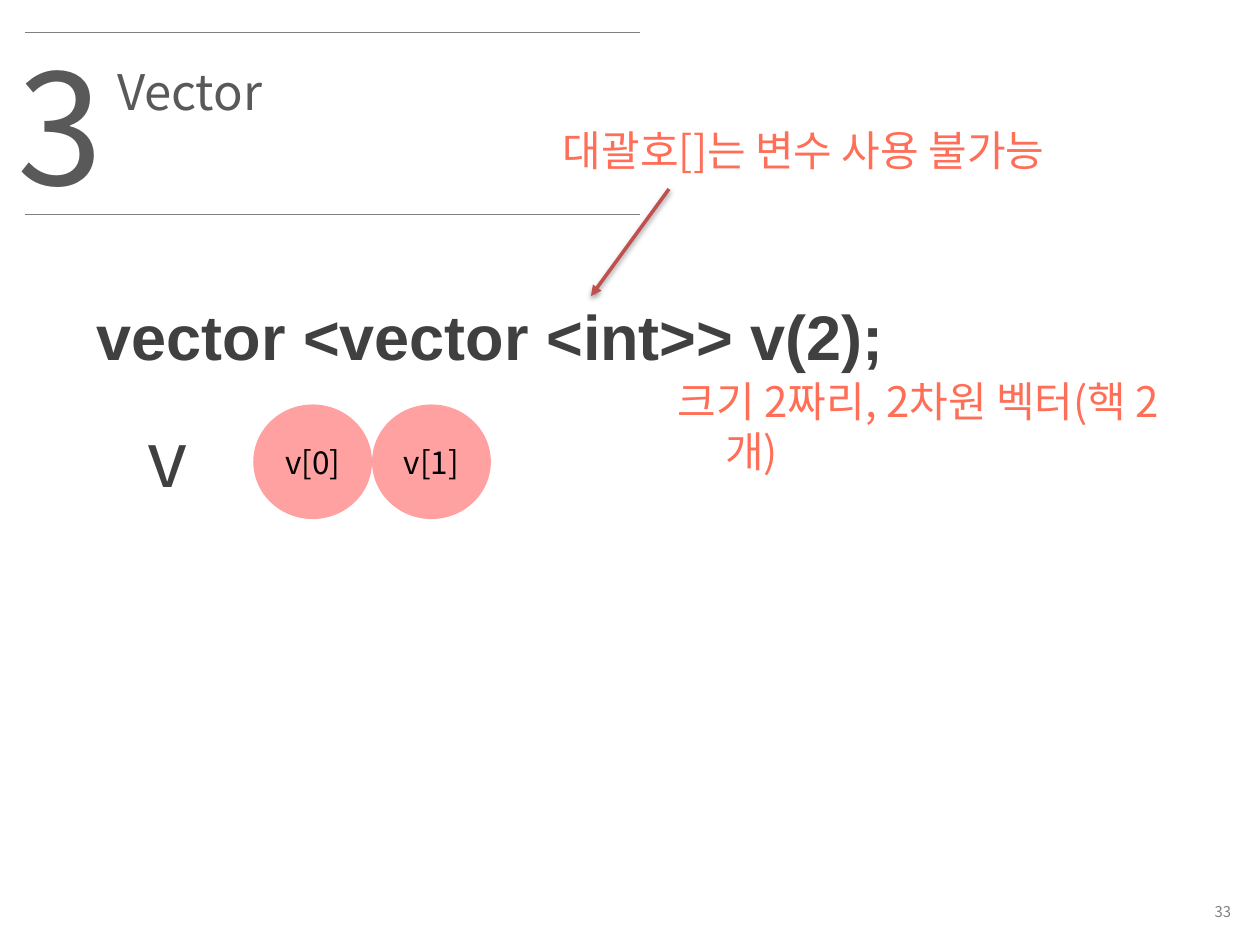
import pptx
import pptx.util
import pptx.dml.color
import pptx.enum.shapes
import pptx.enum.text
import pptx.oxml
import pptx.oxml.ns
from lxml import etree

Pt = pptx.util.Pt
ALIGN = pptx.enum.text.PP_ALIGN
ANCHOR = pptx.enum.text.MSO_ANCHOR
NS = pptx.oxml.ns.nsdecls("a")

THEME = {
    "sans": "Noto Sans CJK KR", "code": "Arial",
    "rule": "808080", "title": "595959", "body": "404040", "note": "FF6E57",
    "arrow": "C0504D", "node": "FF0000", "node_text": "000000",
    "page_size": 8.5, "node_size": 18, "note_size": 24, "title_size": 28,
    "code_size": 36, "name_size": 44, "number_size": 88,
}
HANG = 27

# text, box (left, top, width, height), size, colour, options
TEXTS = [
    ("33", (558.7, 511.2, 151.9, 19.4), "page_size", "rule",
     {"align": ALIGN.RIGHT, "anchor": ANCHOR.MIDDLE}),
    ("3", (2.9, 14.4, 56.9, 113.8), "number_size", "title", {"hang": HANG}),
    ("Vector", (59.8, 31.7, 323.3, 41), "title_size", "title", {"hang": HANG}),
    ("vector <vector <int>> v(2);", (48.2, 166.3, 555.8, 51.1), "code_size", "body",
     {"font": "code", "bold": True}),
    ("v", (77, 231.1, 45.4, 60.5), "name_size", "body", {}),
    ("대괄호[]는 변수 사용 불가능", (314.6, 67.7, 289.4, 36), "note_size", "note",
     {"align": ALIGN.CENTER, "hang": HANG}),
    ("크기 2짜리, 2차원 벡터(핵 2개)", (380.2, 211, 294.5, 36), "note_size", "note",
     {"hang": HANG}),
]
RULE_LEFT, RULE_RIGHT, RULE_TOPS = 14.4, 365.8, (18.7, 122.4)
ARROW = (382.3, 108, 337.7, 169.2)
NODES = ["v[0]", "v[1]"]
NODE_LEFT, NODE_TOP, NODE_W, NODE_H = 144.7, 231.1, 67.9, 65.5


def rgb(key):
    return pptx.dml.color.RGBColor.from_string(THEME[key])


def write(sp, text, size, color, font="sans", bold=False, align=ALIGN.LEFT,
          anchor=ANCHOR.TOP, hang=0):
    tf = sp.text_frame
    tf.word_wrap = True
    tf.vertical_anchor = anchor
    tf.text = text
    p = tf.paragraphs[0]
    p.alignment = align
    if hang:
        pPr = p._p.get_or_add_pPr()
        pPr.set("marL", str(Pt(hang)))
        pPr.set("indent", str(-Pt(hang)))
    r = p.runs[0]
    r.font.name = THEME[font]
    r.font.size = Pt(THEME[size])
    r.font.bold = bold
    r.font.color.rgb = rgb(color)
    ea = etree.SubElement(r._r.get_or_add_rPr(), pptx.oxml.ns.qn("a:ea"))
    ea.set("typeface", THEME[font])
    latin = r._r.rPr.find(pptx.oxml.ns.qn("a:latin"))
    latin.addnext(ea)


def add_line(s, ends, color, width, effects=""):
    line = s.shapes.add_connector(
        pptx.enum.shapes.MSO_CONNECTOR.STRAIGHT, *map(Pt, ends))
    line.line.color.rgb = rgb(color)
    line.line.width = Pt(width)
    line._element.spPr.append(
        pptx.oxml.parse_xml(f"<a:effectLst {NS}>{effects}</a:effectLst>"))
    return line


def add_arrow(s):
    shadow = (f'<a:outerShdw blurRad="{Pt(3.1)}" dist="{Pt(1.6)}" dir="5400000" '
              'rotWithShape="0"><a:srgbClr val="000000"><a:alpha val="38000"/>'
              '</a:srgbClr></a:outerShdw>')
    arrow = add_line(s, ARROW, "arrow", 2, shadow)
    arrow.line._get_or_add_ln().append(
        pptx.oxml.parse_xml(f'<a:tailEnd {NS} type="triangle"/>'))


def add_node(s, i, label):
    sp = s.shapes.add_shape(
        pptx.enum.shapes.MSO_SHAPE.OVAL, Pt(NODE_LEFT + i * NODE_W), Pt(NODE_TOP),
        Pt(NODE_W), Pt(NODE_H))
    sp.shadow.inherit = False
    sp.line.fill.background()
    sp.fill.solid()
    sp.fill.fore_color.rgb = rgb("node")
    clr = sp._element.spPr.find(".//" + pptx.oxml.ns.qn("a:srgbClr"))
    clr.append(pptx.oxml.parse_xml(f'<a:alpha {NS} val="37000"/>'))
    write(sp, label, "node_size", "node_text", align=ALIGN.CENTER, anchor=ANCHOR.MIDDLE)


def main():
    prs = pptx.Presentation()
    prs.slide_width, prs.slide_height = Pt(720), Pt(540)
    s = prs.slides.add_slide(prs.slide_layouts[6])
    for top in RULE_TOPS:
        add_line(s, (RULE_LEFT, top, RULE_RIGHT, top), "rule", 0.75)
    for text, box, size, color, options in TEXTS:
        write(s.shapes.add_textbox(*map(Pt, box)), text, size, color, **options)
    add_arrow(s)
    for i, label in enumerate(NODES):
        add_node(s, i, label)
    prs.save("out.pptx")


if __name__ == "__main__":
    main()
